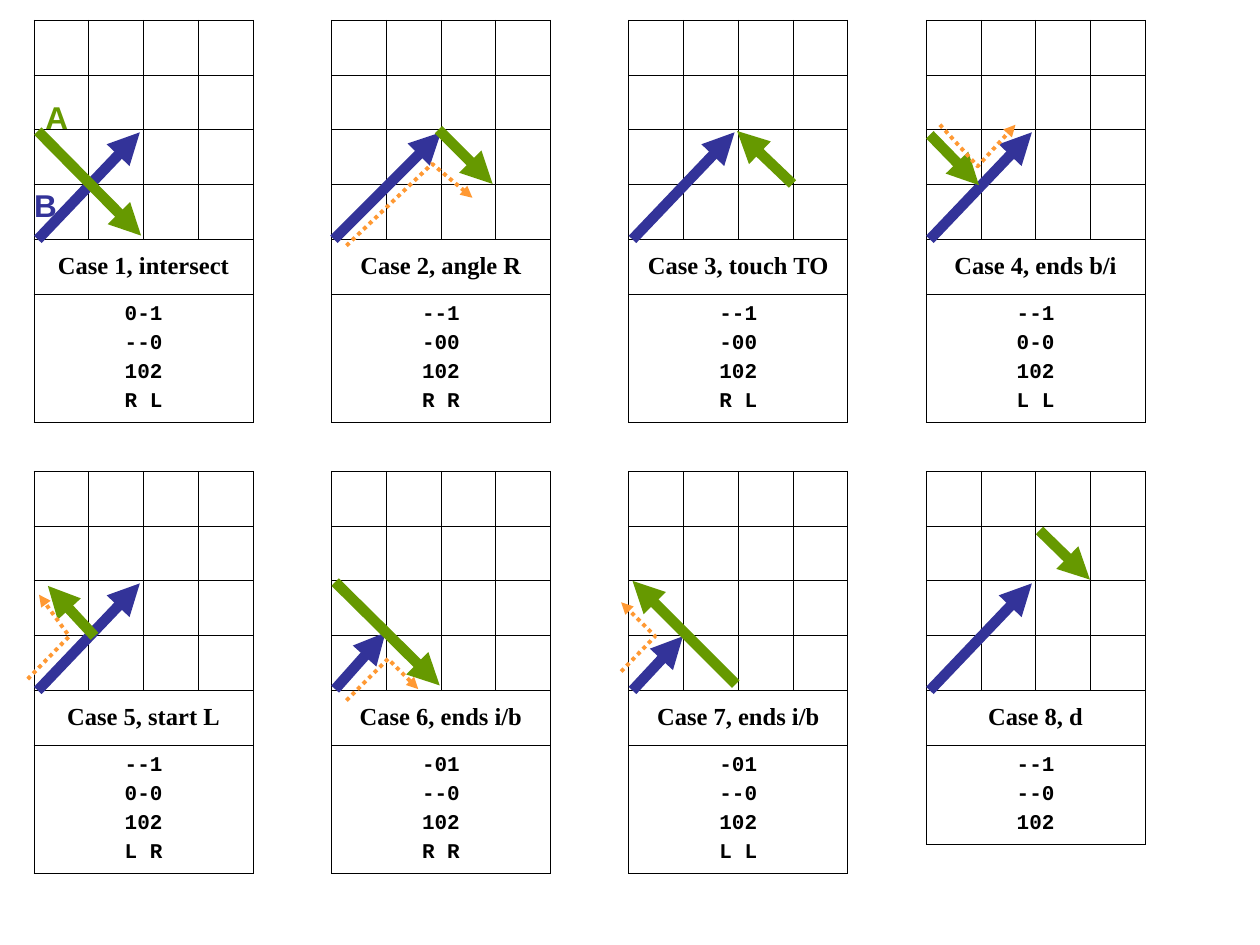
from lxml import etree
from pptx import Presentation
from pptx.dml.color import RGBColor
from pptx.enum.dml import MSO_LINE
from pptx.enum.shapes import MSO_CONNECTOR
from pptx.enum.text import MSO_ANCHOR, PP_ALIGN
from pptx.oxml.ns import qn
from pptx.util import Inches, Pt

BLACK = RGBColor(0x00, 0x00, 0x00)
BLUE = RGBColor(0x33, 0x33, 0x99)
GREEN = RGBColor(0x66, 0x99, 0x00)
ORANGE = RGBColor(0xFF, 0x99, 0x33)

# Layout of the case tables, in inches
LEFT, TOP = 0.27, 0.16
STEP_X, STEP_Y = 2.36, 3.58
PER_ROW = 4
GRID = 4
CELL = 1.74 / GRID
BORDER = Pt(0.45)

TITLE_FONT = {"name": "Times New Roman", "size": Pt(14), "bold": True}
CODE_FONT = {"name": "Courier New", "size": Pt(12), "bold": True}
LABEL_FONT = {"name": "Arial", "size": Pt(18), "bold": True}

# Segment B and segment A as points relative to the table corner,
# then the optional turn that goes around their joint
LONG_B = [(0.03, 1.74), (0.84, 0.89)]
CASES = [
    ("Case 1, intersect", ["0-1", "--0", "102", "R L"],
     LONG_B, [(0.03, 0.88), (0.85, 1.71)], None),
    ("Case 2, angle R", ["--1", "-00", "102", "R R"],
     [(0.02, 1.74), (0.87, 0.89)], [(0.85, 0.87), (1.28, 1.3)],
     [(0.12, 1.79), (0.8, 1.14), (1.12, 1.41)]),
    ("Case 3, touch TO", ["--1", "-00", "102", "R L"],
     LONG_B, [(1.3, 1.3), (0.86, 0.88)], None),
    ("Case 4, ends b/i", ["--1", "0-0", "102", "L L"],
     LONG_B, [(0.03, 0.91), (0.42, 1.31)],
     [(0.11, 0.83), (0.41, 1.16), (0.71, 0.83)]),
    ("Case 5, start L", ["--1", "0-0", "102", "L R"],
     LONG_B, [(0.48, 1.31), (0.11, 0.91)],
     [(-0.05, 1.65), (0.28, 1.31), (0.04, 0.98)]),
    ("Case 6, ends i/b", ["-01", "--0", "102", "R R"],
     [(0.03, 1.73), (0.43, 1.28)], [(0.03, 0.88), (0.86, 1.7)],
     [(0.12, 1.82), (0.45, 1.49), (0.69, 1.73)]),
    ("Case 7, ends i/b", ["-01", "--0", "102", "L L"],
     [(0.03, 1.74), (0.43, 1.31)], [(0.85, 1.69), (0.03, 0.87)],
     [(-0.06, 1.59), (0.21, 1.31), (-0.06, 1.04)]),
    ("Case 8, d", ["--1", "--0", "102"],
     LONG_B, [(0.9, 0.47), (1.3, 0.86)], None),
]


def add_run(p, text, font, color):
    r = p.add_run()
    r.text = text
    for name, value in font.items():
        setattr(r.font, name, value)
    r.font.color.rgb = color


def style_cell(cell):
    """Thin black borders and no fill."""
    tcPr = cell._tc.get_or_add_tcPr()
    for side in ("a:lnL", "a:lnR", "a:lnT", "a:lnB"):
        ln = etree.SubElement(tcPr, qn(side), w=str(int(BORDER)))
        fill = etree.SubElement(ln, qn("a:solidFill"))
        etree.SubElement(fill, qn("a:srgbClr"), val=str(BLACK))
    cell.fill.background()


def write_cell(cell, lines, font, space):
    cell.vertical_anchor = MSO_ANCHOR.MIDDLE
    tf = cell.text_frame
    for i, line in enumerate(lines):
        p = tf.add_paragraph() if i else tf.paragraphs[0]
        p.alignment = PP_ALIGN.CENTER
        p.space_before = Pt(space)
        add_run(p, line, font, BLACK)


def add_case_table(slide, x, y, title, codes):
    """A square grid with a title row and a row of codes under it."""
    heights = [CELL] * (GRID + 1) + [0.1 + 0.23 * len(codes)]
    frame = slide.shapes.add_table(len(heights), GRID, Inches(x), Inches(y),
                                   Inches(CELL * GRID), Inches(sum(heights)))
    table = frame.table
    table.first_row = table.horz_banding = False
    for col in table.columns:
        col.width = Inches(CELL)
    for row, height in zip(table.rows, heights):
        row.height = Inches(height)
    for cell in table.iter_cells():
        style_cell(cell)
    for row, lines, font, space in ((GRID, [title], TITLE_FONT, 3.5),
                                    (GRID + 1, codes, CODE_FONT, 3)):
        cell = table.cell(row, 0)
        cell.merge(table.cell(row, GRID - 1))
        write_cell(cell, lines, font, space)


def style_arrow(line, color, width):
    line.color.rgb = color
    line.width = Pt(width)
    etree.SubElement(line._get_or_add_ln(), qn("a:tailEnd"), type="triangle")


def add_segment(slide, points, color):
    (x1, y1), (x2, y2) = points
    sp = slide.shapes.add_connector(MSO_CONNECTOR.STRAIGHT, x1, y1, x2, y2)
    style_arrow(sp.line, color, 6)
    etree.SubElement(sp._element.spPr, qn("a:effectLst"))


def add_turn(slide, points):
    """A dotted arrow with one bend."""
    builder = slide.shapes.build_freeform(*points[0])
    builder.add_line_segments(points[1:], close=False)
    sp = builder.convert_to_shape()
    sp.fill.background()
    sp.line.dash_style = MSO_LINE.ROUND_DOT
    style_arrow(sp.line, ORANGE, 2.25)
    sp.shadow.inherit = False


def add_label(slide, x, y, text, color):
    tf = slide.shapes.add_textbox(Inches(x), Inches(y),
                                  Inches(0.18), Inches(0.3)).text_frame
    for side in ("left", "top", "right", "bottom"):
        setattr(tf, f"margin_{side}", 0)
    tf.word_wrap = False
    add_run(tf.paragraphs[0], text, LABEL_FONT, color)


def add_case(slide, index, title, codes, seg_b, seg_a, turn):
    row, col = divmod(index, PER_ROW)
    x, y = LEFT + col * STEP_X, TOP + row * STEP_Y

    def place(points):
        return [(Inches(x + dx), Inches(y + dy)) for dx, dy in points]

    add_case_table(slide, x, y, title, codes)
    add_segment(slide, place(seg_b), BLUE)
    add_segment(slide, place(seg_a), GREEN)
    if turn:
        add_turn(slide, place(turn))


def main():
    prs = Presentation()
    prs.slide_width, prs.slide_height = Inches(10), Inches(7.5)
    slide = prs.slides.add_slide(prs.slide_layouts[6])

    # Eight cases in two rows
    for index, case in enumerate(CASES):
        add_case(slide, index, *case)

    # Names of the two segments
    add_label(slide, 0.36, 0.78, "A", GREEN)
    add_label(slide, 0.27, 1.48, "B", BLUE)

    prs.save("out.pptx")


if __name__ == "__main__":
    main()
